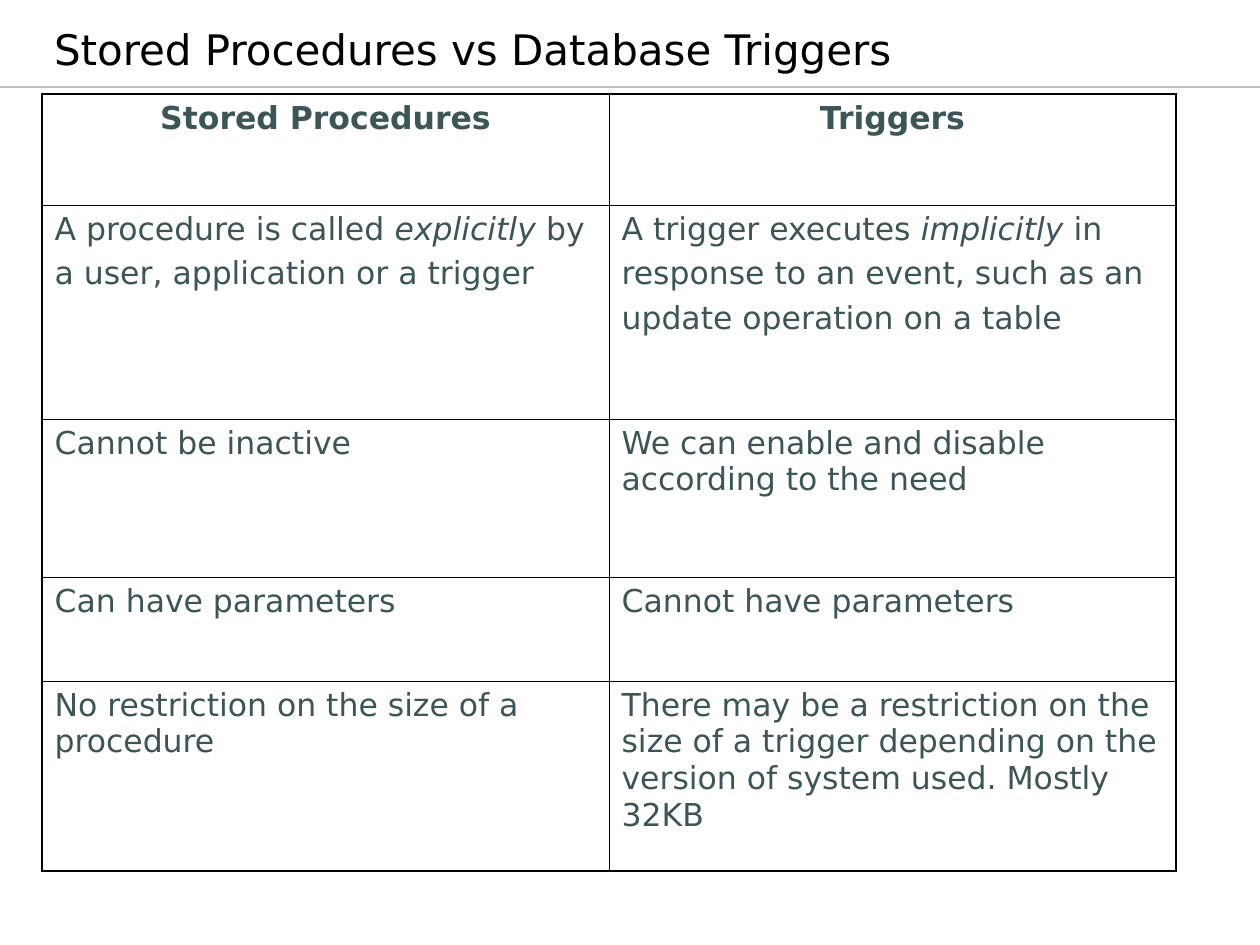
from lxml import etree
from pptx import Presentation
from pptx import util as u
from pptx.dml.color import RGBColor
from pptx.enum import shapes, text
from pptx.oxml.ns import qn

PX = u.Inches(1) / 126
FONT = "DejaVu Sans"
COLORS = {"title": "000000", "body": "3C5658", "rule": "C0C0C0", "border": "000000"}
OUTER, INNER = 1.08, 0.45


def px(length):
    return u.Emu(round(length * PX))


def set_borders(cell, widths):
    properties = cell._tc.get_or_add_tcPr()
    for position, (side, width) in enumerate(widths.items()):
        line = etree.Element(qn(f"a:ln{side}"), w=str(u.Pt(width)))
        fill = etree.SubElement(line, qn("a:solidFill"))
        etree.SubElement(fill, qn("a:srgbClr"), val=COLORS["border"])
        properties.insert(position, line)


presentation = Presentation()
presentation.slide_width, presentation.slide_height = px(1260), px(945)
slide = presentation.slides.add_slide(presentation.slide_layouts[5])

# Rule under the title
rule = slide.shapes.add_connector(
    shapes.MSO_CONNECTOR.STRAIGHT, 0, px(87), px(1260), px(87))
rule.line.color.rgb = RGBColor.from_string(COLORS["rule"])
rule.line.width = u.Pt(0.75)
etree.SubElement(rule._element.spPr, qn("a:effectLst"))

# Title
title = slide.shapes.title
title.left, title.top, title.width, title.height = px(4), px(21), px(921), px(59)
frame = title.text_frame
frame.text = "Stored Procedures vs Database Triggers"
frame.auto_size = text.MSO_AUTO_SIZE.NONE
frame.vertical_anchor = text.MSO_ANCHOR.BOTTOM
frame.margin_left = px(50)
paragraph = frame.paragraphs[0]
paragraph.alignment = text.PP_ALIGN.LEFT
paragraph.font.name, paragraph.font.size = FONT, u.Pt(24)
paragraph.font.color.rgb = RGBColor.from_string(COLORS["title"])

# Comparison rows: line breaks separate paragraphs, asterisks mark italics
rows = [
    (111, "Stored Procedures", "Triggers"),
    (214, "A procedure is called *explicitly *by\na user, application or a trigger",
     "A trigger executes *implicitly *in\nresponse to an event, such as an\n"
     "update operation on a table"),
    (158, "Cannot be inactive", "We can enable and disable according to the need"),
    (104, "Can have parameters", "Cannot have parameters"),
    (190, "No restriction on the size of a procedure",
     "There may be a restriction on the size of a trigger depending on the "
     "version of system used. Mostly 32KB"),
]
table_height = sum(height for height, *_ in rows)
table = slide.shapes.add_table(
    len(rows), 2, px(42), px(94), px(1134), px(table_height)).table
table.first_row = table.horz_banding = False

for row_index, (height, *contents) in enumerate(rows):
    table.rows[row_index].height = px(height)
    for column_index, content in enumerate(contents):
        cell = table.cell(row_index, column_index)
        cell.fill.background()
        set_borders(cell, {
            "L": OUTER if column_index == 0 else INNER,
            "R": OUTER if column_index == 1 else INNER,
            "T": OUTER if row_index == 0 else INNER,
            "B": OUTER if row_index == len(rows) - 1 else INNER,
        })
        cell.text_frame.text = content.replace("*", "")
        for paragraph, source in zip(cell.text_frame.paragraphs, content.split("\n")):
            paragraph.clear()
            for part_index, part in enumerate(source.split("*")):
                run = paragraph.add_run()
                run.text = part
                if part_index % 2:
                    run.font.italic = True
            paragraph.space_before = u.Pt(4.5)
            paragraph.font.name, paragraph.font.size = FONT, u.Pt(18)
            paragraph.font.color.rgb = RGBColor.from_string(COLORS["body"])
            if row_index == 0:
                paragraph.font.bold = True
                paragraph.alignment = text.PP_ALIGN.CENTER

presentation.save("out.pptx")
